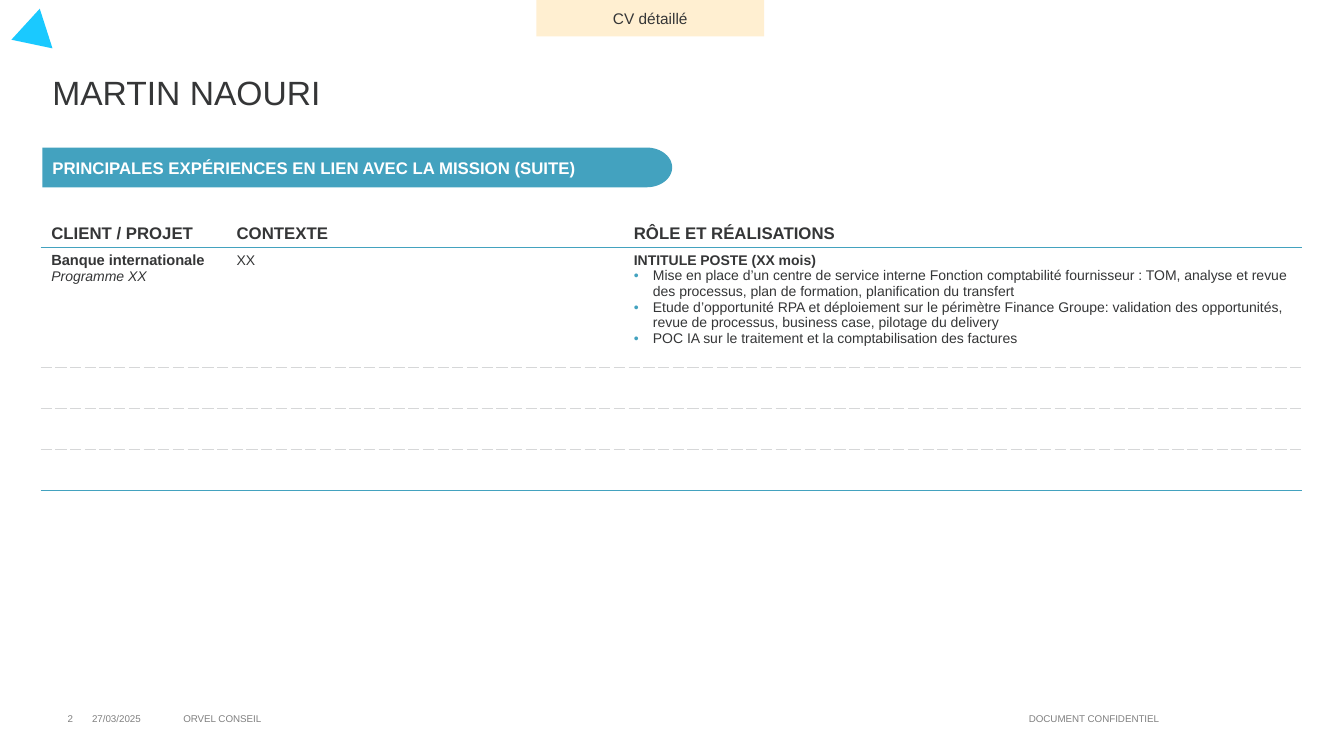
import math
from dataclasses import dataclass
from lxml import etree
from pptx import Presentation
from pptx import util as u
from pptx.dml.color import RGBColor
from pptx.enum import shapes, text
from pptx.oxml.ns import qn


@dataclass(frozen=True)
class Theme:
    font: str = "Arial"
    ink: str = "353637"
    muted: str = "808080"
    teal: str = "43A2BF"
    cyan: str = "1AC9FF"
    cream: str = "FFEFD1"
    dash: str = "D6D7D8"
    white: str = "FFFFFF"
    title: float = 24
    heading: float = 12
    label: float = 11
    client: float = 10.5
    body: float = 10
    footer: float = 7


THEME = Theme()
LEFT, MIDDLE = text.PP_ALIGN.LEFT, text.MSO_ANCHOR.MIDDLE
CENTER, RIGHT = text.PP_ALIGN.CENTER, text.PP_ALIGN.RIGHT


def write(p, words, size=THEME.body, color=THEME.ink, bold=False, italic=False,
          align=LEFT, bullet=False):
    p.alignment = align
    r = p.add_run()
    r.text = words
    f = r.font
    f.name, f.size, f.bold, f.italic = THEME.font, u.Pt(size), bold, italic
    f.color.rgb = RGBColor.from_string(color)
    if bullet:
        pPr = p._p.get_or_add_pPr()
        indent = u.Cm(0.48)
        pPr.set("marL", str(indent))
        pPr.set("indent", str(-indent))
        clr = etree.SubElement(pPr, qn("a:buClr"))
        etree.SubElement(clr, qn("a:srgbClr"), val=THEME.teal)
        etree.SubElement(pPr, qn("a:buFont"), typeface=THEME.font)
        etree.SubElement(pPr, qn("a:buChar"), char="•")


def border(cell, sides):
    """Set 1 pt edges from (side, colour, dash) tuples given in L, R, T, B order."""
    tcPr = cell._tc.get_or_add_tcPr()
    for i, (side, color, dash) in enumerate(sides):
        ln = etree.Element(qn(f"a:ln{side}"), w=str(u.Pt(1)))
        fill = etree.SubElement(ln, qn("a:solidFill"))
        etree.SubElement(fill, qn("a:srgbClr"), val=color)
        etree.SubElement(ln, qn("a:prstDash"), val=dash)
        tcPr.insert(i, ln)


class Slide:
    """Current slide and its style; all lengths are centimetres."""

    def __init__(self, prs, theme):
        self.s = prs.slides.add_slide(prs.slide_layouts[6])
        self.theme = theme

    def paint(self, sp, color):
        sp.shadow.inherit = False
        sp.fill.solid()
        sp.fill.fore_color.rgb = RGBColor.from_string(color)
        sp.line.fill.background()

    def label(self, sp, words, wrap=True, **fmt):
        tf = sp.text_frame
        tf.word_wrap = wrap
        tf.vertical_anchor = MIDDLE
        write(tf.paragraphs[0], words, **fmt)

    def textbox(self, box, words, **fmt):
        self.label(self.s.shapes.add_textbox(*map(u.Cm, box)), words, **fmt)

    def shape(self, kind, box, color, rotation=0):
        sp = self.s.shapes.add_shape(kind, *map(u.Cm, box))
        sp.rotation = rotation
        self.paint(sp, color)
        return sp

    def banner(self, left, top, width, height, bulge, words, **fmt):
        """Bar whose right end is half an ellipse, bulge wide."""
        mid, edge = top + height / 2, left + width - bulge
        angles = [math.radians(a) for a in range(-90, 91, 6)]
        points = [(edge + bulge * math.cos(a), mid + height / 2 * math.sin(a))
                  for a in angles]
        fb = self.s.shapes.build_freeform(u.Cm(left), u.Cm(top))
        fb.add_line_segments([(u.Cm(x), u.Cm(y)) for x, y in points]
                             + [(u.Cm(left), u.Cm(top + height))])
        sp = fb.convert_to_shape()
        self.paint(sp, self.theme.teal)
        self.label(sp, words, **fmt)

    def table(self, left, top, widths, heights, content):
        """Fill cells from content, {(row, column): [(words, format), ...]}."""
        t = self.theme
        box = (left, top, sum(widths), sum(heights))
        tbl = self.s.shapes.add_table(len(heights), len(widths), *map(u.Cm, box)).table
        tbl.first_row = tbl.horz_banding = False
        for col, width in zip(tbl.columns, widths):
            col.width = u.Cm(width)
        for row, height in zip(tbl.rows, heights):
            row.height = u.Cm(height)
        solid, dashed = (t.teal, "solid"), (t.dash, "sysDash")
        rules = [solid] + [dashed] * (len(heights) - 2) + [solid]
        for i in range(len(heights)):
            for j in range(len(widths)):
                cell = tbl.cell(i, j)
                cell.fill.background()
                if i == 0:
                    cell.vertical_anchor = MIDDLE
                    cell.margin_top = cell.margin_bottom = u.Cm(0.1)
                sides = []
                if j > 0:
                    sides.append(("L", t.white, "solid"))
                if j < len(widths) - 1:
                    sides.append(("R", t.white, "solid"))
                if i > 0:
                    sides.append(("T", *rules[i - 1]))
                sides.append(("B", *rules[i]))
                border(cell, sides)
                tf = cell.text_frame
                for n, (words, fmt) in enumerate(content.get((i, j), [])):
                    p = tf.add_paragraph() if n else tf.paragraphs[0]
                    write(p, words, **fmt)


def main():
    prs = Presentation()
    prs.slide_width, prs.slide_height = u.Cm(33.87), u.Cm(19.05)
    t = THEME
    slide = Slide(prs, t)

    slide.shape(shapes.MSO_SHAPE.ISOSCELES_TRIANGLE, (0.2, 0.4, 1.05, 0.92), t.cyan, 252.2)

    heads = ["CLIENT / PROJET", "CONTEXTE", "RÔLE ET RÉALISATIONS"]
    tasks = [
        "Mise en place d’un centre de service interne Fonction comptabilité fournisseur : "
        "TOM, analyse et revue des processus, plan de formation, planification du transfert",
        "Etude d’opportunité RPA et déploiement sur le périmètre Finance Groupe: validation "
        "des opportunités, revue de processus, business case, pilotage du delivery",
        "POC IA sur le traitement et la comptabilisation des factures",
    ]
    content = {(0, j): [(h, dict(size=t.heading, bold=True))] for j, h in enumerate(heads)}
    content[1, 0] = [("Banque internationale", dict(size=t.client, bold=True)),
                     ("Programme XX", dict(italic=True))]
    content[1, 1] = [("XX", {})]
    content[1, 2] = [("INTITULE POSTE (XX mois)", dict(bold=True))]
    content[1, 2] += [(task, dict(bullet=True)) for task in tasks]
    slide.table(1.04, 5.51, [4.67, 10.01, 17.07], [0.73, 3.03] + [1.03] * 3, content)

    slide.textbox((1.07, 1.35, 31.75, 1.93), "MARTIN NAOURI", size=t.title)
    slide.banner(1.07, 3.72, 15.87, 1, 0.64,
                 "PRINCIPALES EXPÉRIENCES EN LIEN AVEC LA MISSION (SUITE)",
                 size=t.heading, color=t.white, bold=True)
    tag = slide.shape(shapes.MSO_SHAPE.RECTANGLE, (13.52, 0, 5.74, 0.92), t.cream)
    slide.label(tag, "CV détaillé", size=t.label, align=CENTER)

    footers = [
        (1.07, 1.02, "2", dict(align=RIGHT)),
        (2.07, 2.29, "27/03/2025", {}),
        (4.37, 21.31, "ORVEL CONSEIL", {}),
        (25.65, 3.84, "DOCUMENT CONFIDENTIEL", dict(align=CENTER, wrap=False)),
    ]
    for left, width, words, fmt in footers:
        slide.textbox((left, 17.6, width, 1.02), words, size=t.footer, color=t.muted, **fmt)

    prs.save("out.pptx")


if __name__ == "__main__":
    main()
